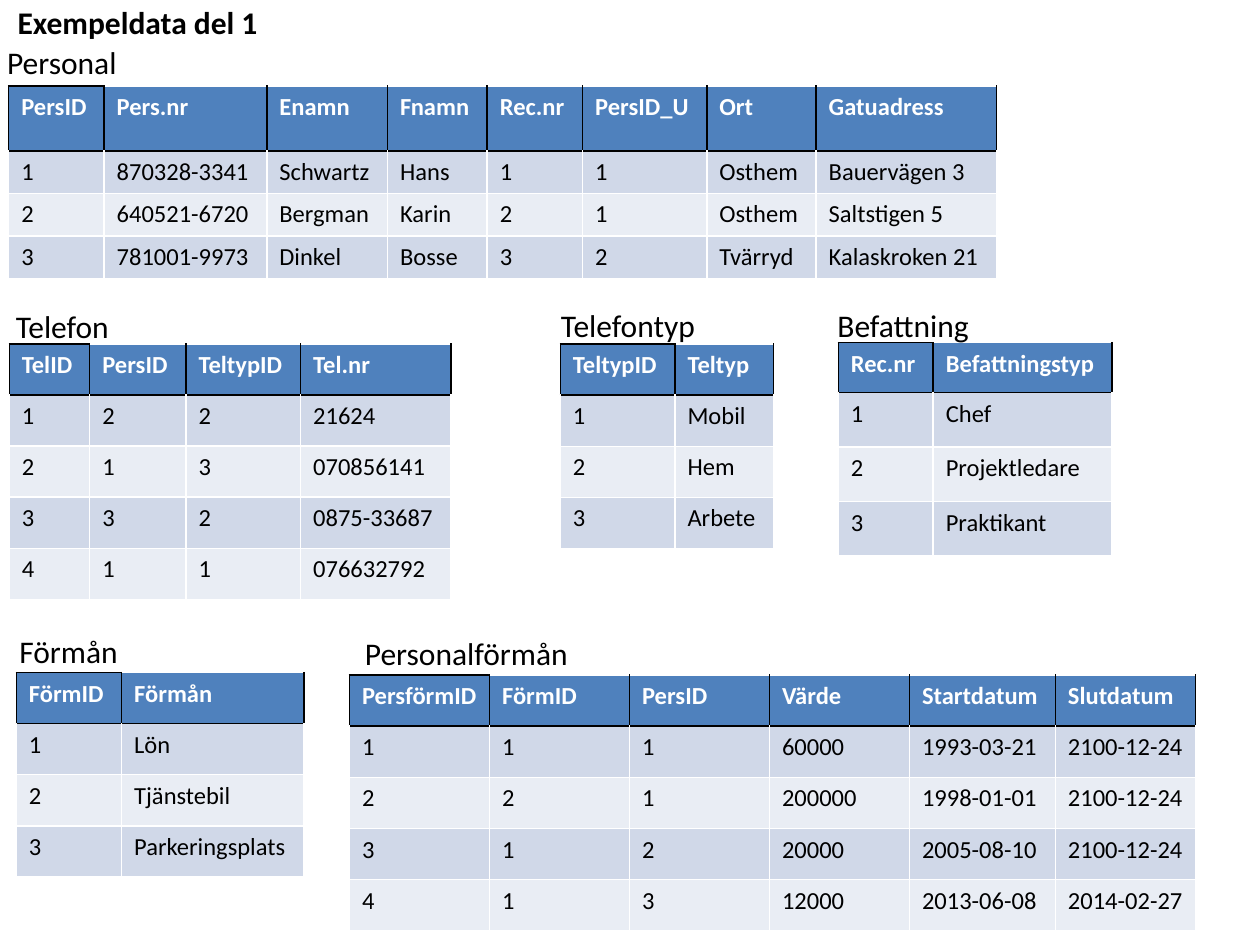
from pptx import Presentation
from pptx.dml.color import RGBColor
from pptx.enum import text
from pptx.oxml import parse_xml
from pptx.oxml.ns import nsdecls
from pptx.util import Pt

WHITE = RGBColor(0xFF, 0xFF, 0xFF)
BLACK = RGBColor(0, 0, 0)
BLUE = RGBColor(0x4F, 0x81, 0xBD)
BANDS = [RGBColor(0xE9, 0xED, 0xF4), RGBColor(0xD0, 0xD8, 0xE8)]


def write(frame, words, size, bold, color):
    """Put one formatted run into a text frame."""
    run = frame.paragraphs[0].add_run()
    run.text = words
    form = {"name": "Calibri", "size": Pt(size), "bold": bold}
    for key, value in form.items():
        setattr(run.font, key, value)
    run.font.color.rgb = color


def edge(cell, sides):
    """Draw one-point borders from a dict of side and colour."""
    props = cell._tc.get_or_add_tcPr()
    for side, color in sides.items():
        props.append(parse_xml(
            f'<a:ln{side} {nsdecls("a")} w="12700"><a:solidFill>'
            f'<a:srgbClr val="{color}"/></a:solidFill></a:ln{side}>'))


# Each label: words, left, top, width, bold
labels = [
    ("Exempeldata del 1", 3, -2, 153, True),
    ("Personal", -3, 21, 108, False),
    ("Befattning", 471.5, 171.5, 108, False),
    ("Telefon", 2, 172, 108, False),
    ("Telefontyp", 313.5, 171.5, 108, False),
    ("Förmån", 4, 357.5, 108, False),
    ("Personalförmån", 201.5, 358.5, 136, False),
]

# Each table: left, top, head height, row height, column widths, rows
tables = [
    (5, 49, 37.2, 24.3, [54.5, 93, 69, 57, 54.5, 71, 62.5, 103], [
        "PersID|Pers.nr|Enamn|Fnamn|Rec.nr|PersID_U|Ort|Gatuadress",
        "1|870328-3341|Schwartz|Hans|1|1|Osthem|Bauervägen 3",
        "2|640521-6720|Bergman|Karin|2|1|Osthem|Saltstigen 5",
        "3|781001-9973|Dinkel|Bosse|3|2|Tvärryd|Kalaskroken 21"]),
    (479, 195.8, 28.5, 31.2, [54.3, 102.3], [
        "Rec.nr|Befattningstyp", "1|Chef", "2|Projektledare", "3|Praktikant"]),
    (5.3, 196.5, 29.2, 29.2, [46, 55, 65.5, 86], [
        "TelID|PersID|TeltypID|Tel.nr", "1|2|2|21624", "2|1|3|070856141",
        "3|3|2|0875-33687", "4|1|1|076632792"]),
    (320.2, 196.6, 29.2, 29.2, [65.5, 56.3], [
        "TeltypID|Teltyp", "1|Mobil", "2|Hem", "3|Arbete"]),
    (9.3, 384.3, 29.2, 29.2, [60.2, 104.2], [
        "FörmID|Förmån", "1|Lön", "2|Tjänstebil", "3|Parkeringsplats"]),
    (199.7, 385.8, 29.2, 29.2, [80, 80, 80, 80, 83.4, 80], [
        "PersförmID|FörmID|PersID|Värde|Startdatum|Slutdatum",
        "1|1|1|60000|1993-03-21|2100-12-24",
        "2|2|1|200000|1998-01-01|2100-12-24",
        "3|1|2|20000|2005-08-10|2100-12-24",
        "4|1|3|12000|2013-06-08|2014-02-27"]),
]

deck = Presentation()
deck.slide_width, deck.slide_height = Pt(720), Pt(540)
slide = deck.slides.add_slide(deck.slide_layouts[6])

for left, top, head, step, widths, rows in tables:
    high = head + step * (len(rows) - 1)
    grid = slide.shapes.add_table(
        len(rows), len(widths), Pt(left), Pt(top), Pt(sum(widths)), Pt(high)).table
    for col, width in zip(grid.columns, widths):
        col.width = Pt(width)
    for r, line in enumerate(rows):
        grid.rows[r].height = Pt(step if r else head)
        for c, words in enumerate(line.split("|")):
            cell = grid.cell(r, c)
            side = WHITE if r else BLACK
            roof = BLACK if r == 1 or r + c == 0 else WHITE
            edge(cell, {"L": side, "R": side, "T": roof, "B": side})
            cell.fill.solid()
            cell.fill.fore_color.rgb = BANDS[r % 2] if r else BLUE
            write(cell.text_frame, words, 14, r == 0, BLACK if r else WHITE)

for words, left, top, width, bold in labels:
    box = slide.shapes.add_textbox(Pt(left), Pt(top), Pt(width), Pt(29))
    box.text_frame.word_wrap = True
    box.text_frame.auto_size = text.MSO_AUTO_SIZE.SHAPE_TO_FIT_TEXT
    write(box.text_frame, words, 18, bold, BLACK)

deck.save("out.pptx")
